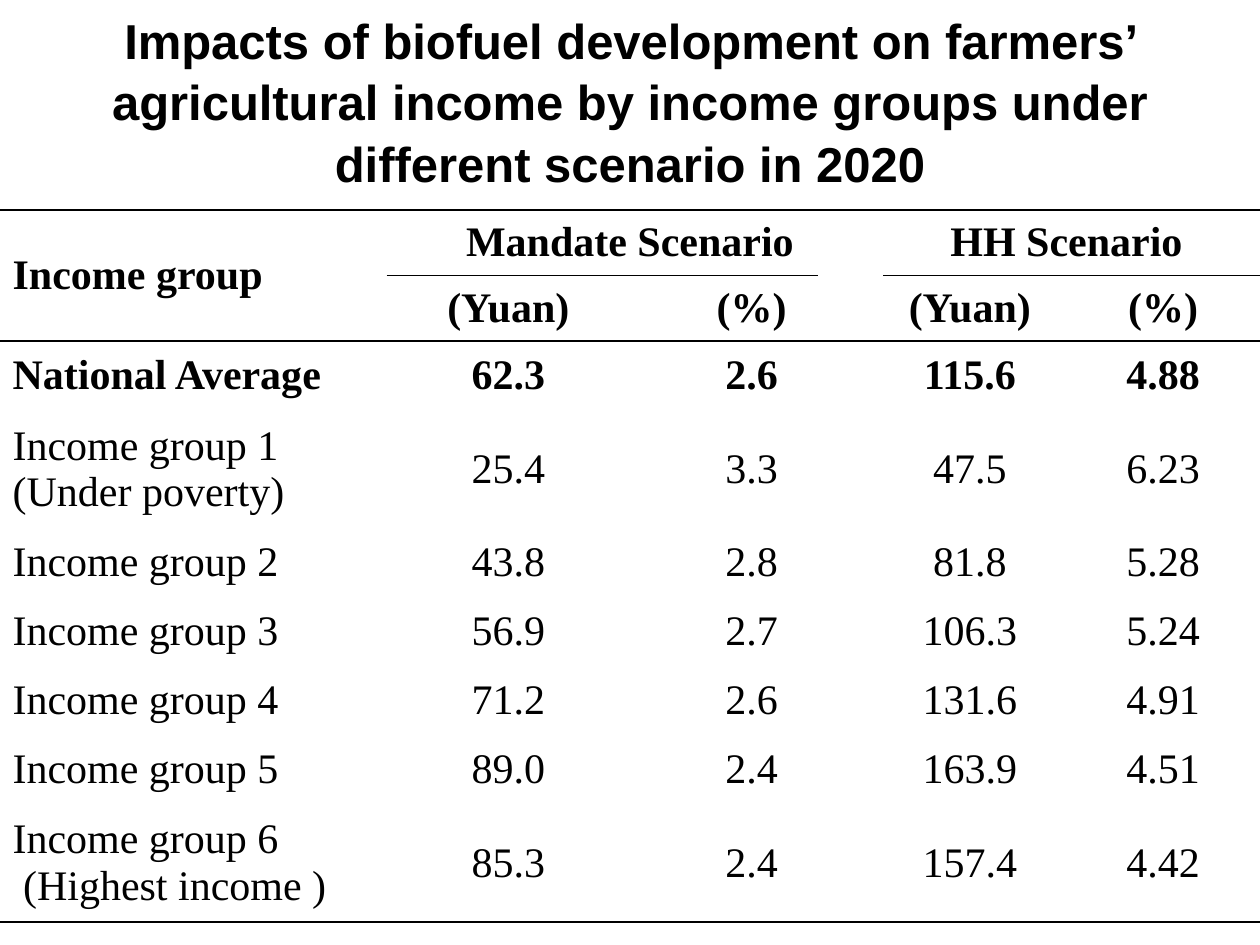
from typing import NamedTuple

from lxml.etree import SubElement
from pptx import Presentation
from pptx.dml.color import RGBColor
from pptx.enum.shapes import MSO_SHAPE
from pptx.enum.text import MSO_ANCHOR, PP_ALIGN
from pptx.oxml.ns import qn
from pptx.util import Pt

COLORS = {"ink": "000000", "paper": "FFFFFF"}
COLS = [221, 139, 139, 110.5, 110.5]
HEADER_H, ROW_H, TALL_H = 37.5, 39.4, 67.5
RULE_W = 1


class Row(NamedTuple):
    cells: list[str]
    height: float
    bold: bool = False
    rules: str = ""


ROWS = [
    Row(["Income group", "Mandate Scenario", "", "HH Scenario", ""], HEADER_H, True, "TB"),
    Row(["", "(Yuan)", "(%)", "(Yuan)", "(%)"], HEADER_H, True, "TB"),
    Row(["National Average", "62.3", "2.6", "115.6", "4.88"], ROW_H, True, "T"),
    Row(["Income group 1\n(Under poverty)", "25.4", "3.3", "47.5", "6.23"], TALL_H),
    Row(["Income group 2", "43.8", "2.8", "81.8", "5.28"], ROW_H),
    Row(["Income group 3", "56.9", "2.7", "106.3", "5.24"], ROW_H),
    Row(["Income group 4", "71.2", "2.6", "131.6", "4.91"], ROW_H),
    Row(["Income group 5", "89.0", "2.4", "163.9", "4.51"], ROW_H),
    Row(["Income group 6\n (Highest income )", "85.3", "2.4", "157.4", "4.42"], TALL_H, rules="B"),
]


def add_text(tf, text: str, font: str, size: float, bold: bool, align: PP_ALIGN) -> None:
    for i, line in enumerate(text.split("\n")):
        p = tf.add_paragraph() if i else tf.paragraphs[0]
        p.alignment = align
        r = p.add_run()
        r.text = line
        r.font.name = font
        r.font.size = Pt(size)
        r.font.bold = bold
        r.font.color.rgb = RGBColor.from_string(COLORS["ink"])


def set_borders(cell, rules: str) -> None:
    tcPr = cell._tc.get_or_add_tcPr()
    for side in "LRTB":
        ln = SubElement(tcPr, qn(f"a:ln{side}"), w=str(Pt(RULE_W)))
        if side in rules:
            fill = SubElement(ln, qn("a:solidFill"))
            SubElement(fill, qn("a:srgbClr"), val=COLORS["ink"])
        else:
            SubElement(ln, qn("a:noFill"))


def add_title(s, text: str) -> None:
    tf = s.shapes.add_textbox(Pt(36), Pt(12), Pt(648), Pt(90)).text_frame
    tf.word_wrap = True
    tf.vertical_anchor = MSO_ANCHOR.MIDDLE
    add_text(tf, text, "Arial", 28, True, PP_ALIGN.CENTER)
    tf.paragraphs[0].line_spacing = 1.05


def add_income_table(s, rows: list[Row]) -> None:
    height = sum(row.height for row in rows)
    table = s.shapes.add_table(
        len(rows), len(COLS), Pt(0), Pt(120), Pt(sum(COLS)), Pt(height)
    ).table
    table.first_row = table.horz_banding = False
    for column, width in zip(table.columns, COLS):
        column.width = Pt(width)
    for i, row in enumerate(rows):
        table.rows[i].height = Pt(row.height)
        for j, text in enumerate(row.cells):
            cell = table.cell(i, j)
            set_borders(cell, "B" if (i, j) == (1, 0) else row.rules)
            cell.fill.background()
            cell.vertical_anchor = MSO_ANCHOR.MIDDLE
            if text:
                align = PP_ALIGN.CENTER if j else PP_ALIGN.LEFT
                add_text(cell.text_frame, text, "Times New Roman", 24, row.bold, align)
    for first, last in [((0, 0), (1, 0)), ((0, 1), (0, 2)), ((0, 3), (0, 4))]:
        table.cell(*first).merge(table.cell(*last))


def add_rule_gap(s) -> None:
    sp = s.shapes.add_shape(MSO_SHAPE.RECTANGLE, Pt(468), Pt(144), Pt(36), Pt(30))
    sp.shadow.inherit = False
    paper = RGBColor.from_string(COLORS["paper"])
    sp.fill.solid()
    sp.fill.fore_color.rgb = paper
    sp.line.color.rgb = paper
    sp.line.width = Pt(0.75)


def main() -> None:
    prs = Presentation()
    prs.slide_width, prs.slide_height = Pt(720), Pt(540)
    s = prs.slides.add_slide(prs.slide_layouts[6])
    add_title(
        s,
        "Impacts of biofuel development on farmers’ agricultural income "
        "by income groups under different scenario in 2020",
    )
    add_income_table(s, ROWS)
    add_rule_gap(s)
    prs.save("out.pptx")


if __name__ == "__main__":
    main()
